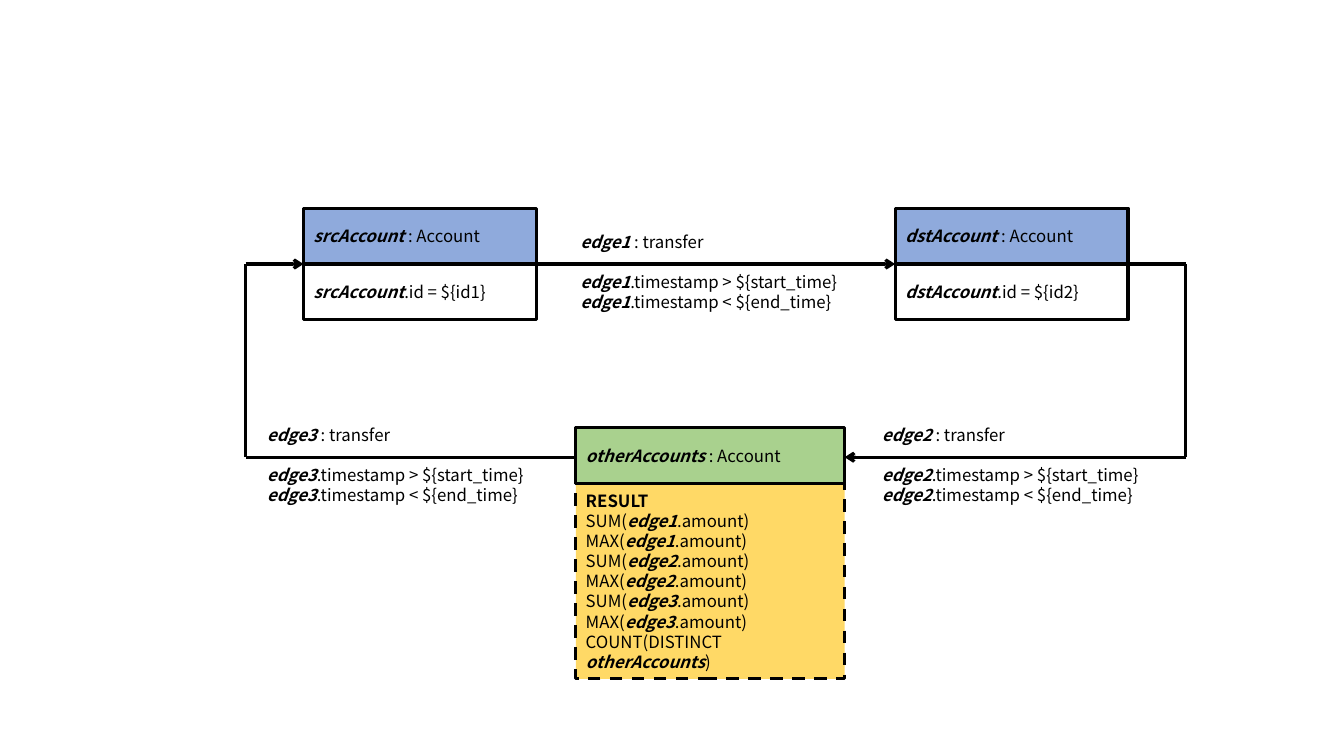
from lxml.etree import SubElement
from pptx import Presentation
from pptx.dml.color import RGBColor
from pptx.enum.dml import MSO_LINE_DASH_STYLE as DASH
from pptx.enum.shapes import MSO_CONNECTOR, MSO_SHAPE
from pptx.enum.text import MSO_ANCHOR, PP_ALIGN
from pptx.oxml.ns import qn
from pptx.util import Pt

BLACK = RGBColor(0x00, 0x00, 0x00)
BLUE = RGBColor(0x8F, 0xAA, 0xDC)
GREEN = RGBColor(0xA9, 0xD1, 0x8E)
YELLOW = RGBColor(0xFF, 0xD9, 0x66)

FONT = "Noto Sans CJK SC"
LINE_HEIGHT = 14.4
LINE_WIDTH = 2.25
ROW = 39.9
ACCOUNT_WIDTH = 166.3
SRC_LEFT, DST_LEFT, OTHER_LEFT = 216.8, 639.4, 411.3
OTHER_WIDTH = 192
TOP_EDGE, BOTTOM_EDGE = 188.6, 326.6
LOOP_LEFT, LOOP_RIGHT = 175.5, 847

PLAIN = {"bold": False, "italic": False}
HEADING = {"bold": True, "italic": False}
NAME = {"bold": True, "italic": True}


def named(before, name, after):
    """Return the spans of a line holding one emphasised name."""
    return [(text, style) for text, style in
            ((before, PLAIN), (name, NAME), (after, PLAIN)) if text]


def write(frame, lines, anchor):
    """Fill a text frame with left-aligned lines of styled spans."""
    frame.word_wrap = True
    frame.vertical_anchor = anchor
    for index, spans in enumerate(lines):
        para = frame.paragraphs[0] if index == 0 else frame.add_paragraph()
        para.alignment = PP_ALIGN.LEFT
        para.line_spacing = Pt(LINE_HEIGHT)
        for text, style in spans:
            span = para.add_run()
            span.text = text
            span.font.color.rgb = BLACK
            for key, value in {"name": FONT, "size": Pt(12), **style}.items():
                setattr(span.font, key, value)


def add_box(page, left, top, width, height, lines, fill=None, dash=None):
    """Add a black-outlined rectangle with text."""
    box = page.shapes.add_shape(MSO_SHAPE.RECTANGLE, Pt(left), Pt(top),
                                Pt(width), Pt(height))
    box.shadow.inherit = False
    if fill is None:
        box.fill.background()
    else:
        box.fill.solid()
        box.fill.fore_color.rgb = fill
    box.line.color.rgb = BLACK
    box.line.width = Pt(LINE_WIDTH)
    if dash is not None:
        box.line.dash_style = dash
    write(box.text_frame, lines, MSO_ANCHOR.MIDDLE)


def add_account(page, left, name, parameter):
    """Add an account node: a type row above a condition row."""
    add_box(page, left, TOP_EDGE - ROW, ACCOUNT_WIDTH, ROW,
            [named("", name + " ", ": Account")], BLUE)
    add_box(page, left, TOP_EDGE, ACCOUNT_WIDTH, ROW,
            [named("", name, f".id = ${{{parameter}}}")])


def add_edge_label(page, left, line_y, name):
    """Add a transfer label with its time conditions below the edge."""
    box = page.shapes.add_textbox(Pt(left), Pt(line_y - 26.8), Pt(216), Pt(65.5))
    write(box.text_frame, [
        named("", name + " ", ": transfer"),
        named("", name, ".timestamp > ${start_time}"),
        named("", name, ".timestamp < ${end_time}"),
    ], MSO_ANCHOR.TOP)
    box.text_frame.paragraphs[0].space_after = Pt(LINE_HEIGHT)


def add_line(page, start, end, arrow=False):
    """Add a straight line, optionally with an arrowhead at its end."""
    points = [Pt(value) for value in (*start, *end)]
    line = page.shapes.add_connector(MSO_CONNECTOR.STRAIGHT, *points)
    line.line.color.rgb = BLACK
    line.line.width = Pt(LINE_WIDTH)
    if arrow:
        SubElement(line.line._get_or_add_ln(), qn("a:tailEnd"), type="arrow")
    SubElement(line._element.spPr, qn("a:effectLst"))


def main():
    """Build the transfer cycle slide."""
    deck = Presentation()
    deck.slide_width, deck.slide_height = Pt(960), Pt(540)
    page = deck.slides.add_slide(deck.slide_layouts[6])

    add_account(page, SRC_LEFT, "srcAccount", "id1")
    add_account(page, DST_LEFT, "dstAccount", "id2")

    results = [[("RESULT", HEADING)]]
    for edge in ("edge1", "edge2", "edge3"):
        for function in ("SUM", "MAX"):
            results.append(named(function + "(", edge, ".amount)"))
    results.append(named("COUNT(DISTINCT ", "otherAccounts", ")"))
    other_top = BOTTOM_EDGE - 21.3
    add_box(page, OTHER_LEFT, other_top + ROW, OTHER_WIDTH, 139.7, results,
            YELLOW, DASH.DASH)
    add_box(page, OTHER_LEFT, other_top, OTHER_WIDTH, ROW,
            [named("", "otherAccounts ", ": Account")], GREEN)

    for start, end, arrow in (
        ((SRC_LEFT + ACCOUNT_WIDTH, TOP_EDGE), (DST_LEFT, TOP_EDGE), True),
        ((DST_LEFT + ACCOUNT_WIDTH, TOP_EDGE), (LOOP_RIGHT, TOP_EDGE), False),
        ((LOOP_RIGHT, TOP_EDGE), (LOOP_RIGHT, BOTTOM_EDGE), False),
        ((LOOP_RIGHT, BOTTOM_EDGE), (OTHER_LEFT + OTHER_WIDTH, BOTTOM_EDGE), True),
        ((OTHER_LEFT, BOTTOM_EDGE), (LOOP_LEFT, BOTTOM_EDGE), False),
        ((LOOP_LEFT, BOTTOM_EDGE), (LOOP_LEFT, TOP_EDGE), False),
        ((LOOP_LEFT, TOP_EDGE), (SRC_LEFT, TOP_EDGE), True),
    ):
        add_line(page, start, end, arrow)

    add_edge_label(page, 407.5, TOP_EDGE, "edge1")
    add_edge_label(page, 622.8, BOTTOM_EDGE, "edge2")
    add_edge_label(page, 183.6, BOTTOM_EDGE, "edge3")
    deck.save("out.pptx")


main()
